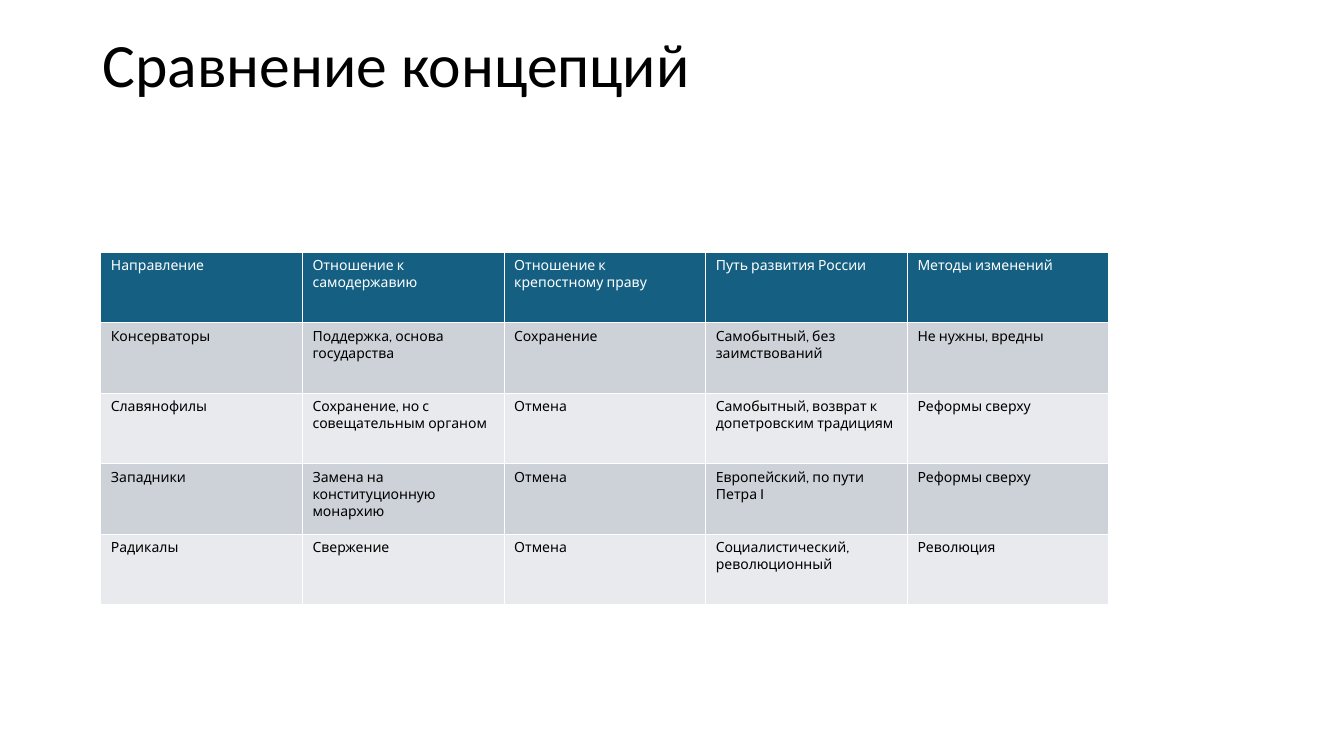
from dataclasses import dataclass

from pptx import Presentation
from pptx.dml.color import RGBColor
from pptx.enum.text import MSO_ANCHOR
from pptx.util import Inches, Pt

MIDDLE = MSO_ANCHOR.MIDDLE


@dataclass(frozen=True)
class Theme:
    head: RGBColor = RGBColor.from_string("156082")
    odd: RGBColor = RGBColor.from_string("CCD2D8")
    even: RGBColor = RGBColor.from_string("E8EAED")
    black: RGBColor = RGBColor.from_string("000000")
    white: RGBColor = RGBColor.from_string("FFFFFF")
    title_size: Pt = Pt(44)
    cell_size: Pt = Pt(10)
    title_font: str = "Calibri"
    cell_font: str = "Cabin"


theme = Theme()


def style(para, name, size, color):
    font = para.font
    font.name = name
    font.size = size
    font.bold = False
    font.color.rgb = color


rows = [
    ("Направление", "Отношение к самодержавию", "Отношение к крепостному праву",
     "Путь развития России", "Методы изменений"),
    ("Консерваторы", "Поддержка, основа государства", "Сохранение",
     "Самобытный, без заимствований", "Не нужны, вредны"),
    ("Славянофилы", "Сохранение, но с совещательным органом", "Отмена",
     "Самобытный, возврат к допетровским традициям", "Реформы сверху"),
    ("Западники", "Замена на конституционную монархию", "Отмена",
     "Европейский, по пути Петра I", "Реформы сверху"),
    ("Радикалы", "Свержение", "Отмена",
     "Социалистический, революционный", "Революция"),
]

prs = Presentation()
prs.slide_width = Inches(13.33)
prs.slide_height = Inches(7.5)
slide = prs.slides.add_slide(prs.slide_layouts[6])

# Title
title = slide.shapes.add_textbox(Inches(0.92), Inches(0.22), Inches(11.5), Inches(0.9))
frame = title.text_frame
frame.word_wrap = True
frame.vertical_anchor = MIDDLE
para = frame.paragraphs[0]
para.text = "Сравнение концепций"
para.line_spacing = 0.9
style(para, theme.title_font, theme.title_size, theme.black)

# Table: the default table style draws the white grid
table = slide.shapes.add_table(
    len(rows), len(rows[0]), Inches(1), Inches(2.5), Inches(10), Inches(3.5)
).table
for r, texts in enumerate(rows):
    if r == 0:
        fill, ink = theme.head, theme.white
    else:
        fill, ink = (theme.odd if r % 2 else theme.even), theme.black
    for c, text in enumerate(texts):
        cell = table.cell(r, c)
        cell.text = text
        cell.fill.solid()
        cell.fill.fore_color.rgb = fill
        style(cell.text_frame.paragraphs[0], theme.cell_font, theme.cell_size, ink)

prs.save("out.pptx")
